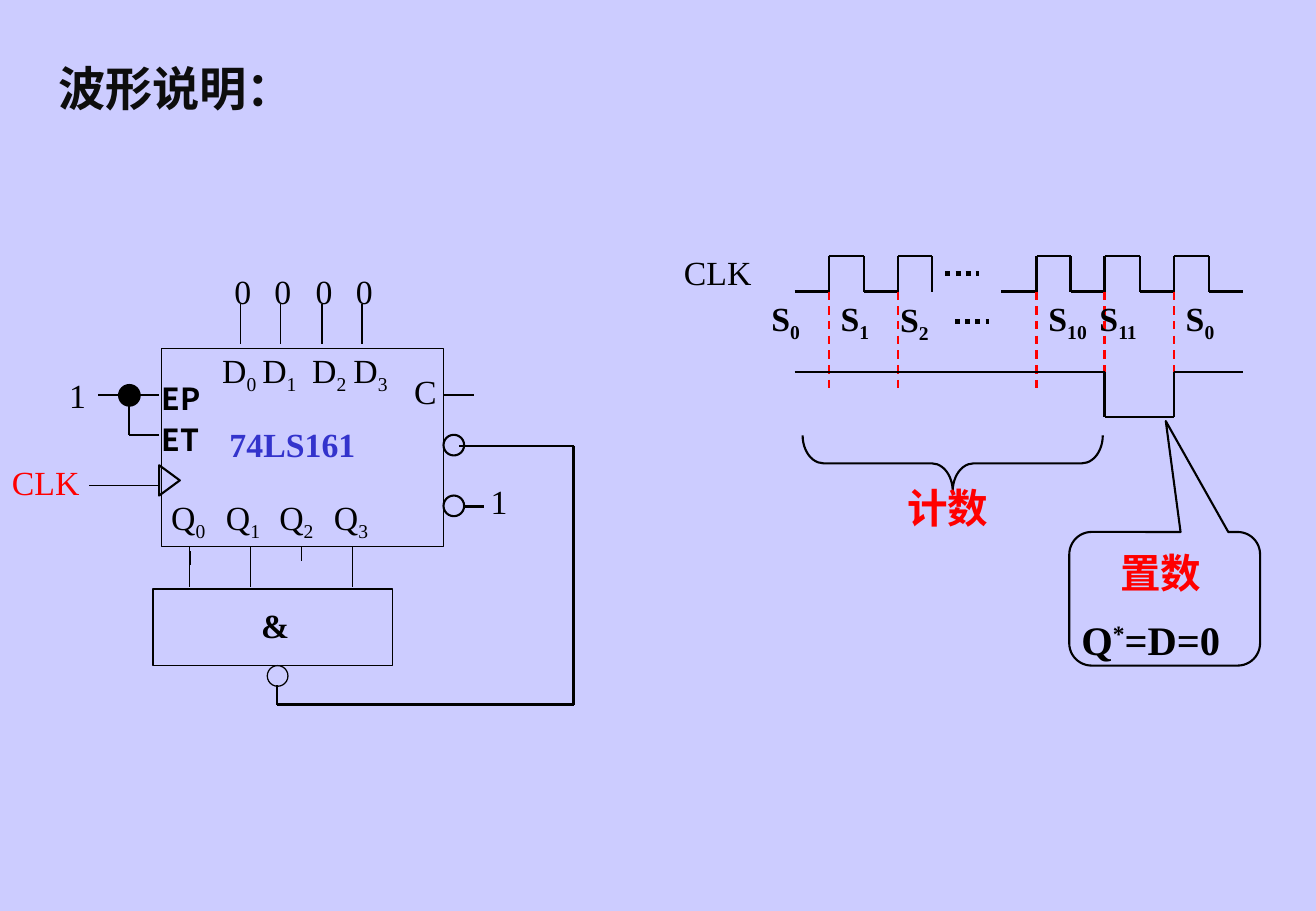
from itertools import pairwise
from lxml.etree import SubElement
from pptx import Presentation
from pptx.dml.color import RGBColor
from pptx.enum.dml import MSO_LINE
from pptx.enum.shapes import MSO_CONNECTOR, MSO_SHAPE
from pptx.oxml.ns import qn
from pptx.util import Pt

PX = 9144
COLORS = {"page": "CCCCFF", "ink": "000000", "title": "0D0D0D", "red": "FF0000", "chip": "3333CC"}
SERIF, SANS = "Times New Roman", "Noto Sans CJK SC"

deck = Presentation()
deck.slide_width = 1083 * PX
deck.slide_height = 750 * PX
page = deck.slides.add_slide(deck.slide_layouts[6])
page.background.fill.solid()
page.background.fill.fore_color.rgb = RGBColor.from_string(COLORS["page"])


def draw_wire(points, weight=1.25, color="ink", dash=None):
    for start, end in pairwise(points):
        ends = [value * PX for value in start + end]
        wire = page.shapes.add_connector(MSO_CONNECTOR.STRAIGHT, *ends)
        wire.line.color.rgb = RGBColor.from_string(COLORS[color])
        wire.line.width = Pt(weight)
        if dash:
            wire.line.dash_style = dash
        SubElement(wire._element.spPr, qn("a:effectLst"))


def add_label(left, top, width, spans, size=20, bold=False, color="ink", font=SERIF):
    height = round(size * 2.15)
    box = page.shapes.add_textbox(left * PX, top * PX, width * PX, height * PX)
    box.text_frame.word_wrap = True
    para = box.text_frame.paragraphs[0]
    for words, baseline in spans:
        span = para.add_run()
        span.text = words
        span.font.size = Pt(size)
        span.font.bold = bold
        span.font.color.rgb = RGBColor.from_string(COLORS[color])
        span.font.name = font
        properties = span.font._element
        SubElement(properties, qn("a:ea")).set("typeface", SANS)
        if baseline:
            properties.set("baseline", str(baseline * 1000))


outlines = [
    (MSO_SHAPE.RIGHT_BRACE, 761, 258, 46, 247, 90, 1.25, (0.375, 0.5)),
    (MSO_SHAPE.ROUNDED_RECTANGULAR_CALLOUT, 880, 438, 157, 110, 0, 1.25, (0.006, -1.33, 0.167)),
    (MSO_SHAPE.RECTANGLE, 126, 485, 197, 63, 0, 0.75, ()),
    (MSO_SHAPE.RECTANGLE, 133, 287, 232, 163, 0, 0.75, ()),
    (MSO_SHAPE.OVAL, 220, 548, 17, 17, 0, 0.75, ()),
    (MSO_SHAPE.ISOSCELES_TRIANGLE, 127, 387, 25, 17, 90, 1.25, (0.5,)),
    (MSO_SHAPE.OVAL, 365, 358, 17, 17, 0, 1.25, ()),
    (MSO_SHAPE.OVAL, 365, 408, 17, 17, 0, 1.25, ()),
    (MSO_SHAPE.OVAL, 98, 317, 17, 17, 0, 1.25, ()),
]
for kind, left, top, width, height, rotation, weight, adjustments in outlines:
    outline = page.shapes.add_shape(kind, left * PX, top * PX, width * PX, height * PX)
    outline.shadow.inherit = False
    outline.rotation = rotation
    outline.fill.background()
    outline.line.color.rgb = RGBColor.from_string(COLORS["ink"])
    outline.line.width = Pt(weight)
    for index, value in enumerate(adjustments):
        outline.adjustments[index] = value

junction = outline
junction.fill.solid()
junction.fill.fore_color.rgb = RGBColor.from_string(COLORS["ink"])

LOW, HIGH = 240, 211
for edges in [(654, 682, 711, 739, 767), (824, 853, 881, 909, 938, 966, 995, 1023)]:
    clock = [(edges[0], LOW)]
    for index, x in enumerate(edges[1:]):
        before, after = (HIGH, LOW) if index % 2 else (LOW, HIGH)
        clock += [(x, before), (x, after)]
    if clock[-1][1] == HIGH:
        clock.pop()
    draw_wire(clock)
for x in (682, 739, 853, 909, 966):
    draw_wire([(x, 240), (x, 324)], color="red", dash=MSO_LINE.DASH)
draw_wire([(654, 306), (909, 306), (909, 343), (966, 343), (966, 306), (1023, 306)])
for x, y in [(778, 225), (786, 265)]:
    draw_wire([(x, y), (x + 28, y)], weight=3, dash=MSO_LINE.ROUND_DOT)

for x in (198, 231, 265, 298):
    draw_wire([(x, 283), (x, 250)], weight=0.75)
for x, top, bottom in [(156, 450, 483), (206, 450, 483), (290, 450, 483), (248, 450, 462),
                       (157, 454, 465), (206, 454, 465), (290, 453, 464), (228, 564, 580)]:
    draw_wire([(x, top), (x, bottom)], weight=0.75)
draw_wire([(131, 400), (73, 400)], weight=0.75)
draw_wire([(378, 367), (472, 367), (472, 580), (228, 580)])
draw_wire([(131, 358), (106, 358), (106, 325)])
for left, right, y in [(365, 390, 325), (381, 402, 367), (381, 398, 417), (81, 131, 325)]:
    draw_wire([(left, y), (right, y)])

states = [(625, 240, "0"), (682, 240, "1"), (731, 241, "2"),
          (853, 240, "10"), (895, 240, "11"), (966, 240, "0")]
for left, top, number in states:
    add_label(left, top, 63, [("S", 0), (number, -25)], bold=True)
for number, left in enumerate((173, 206, 247, 281)):
    add_label(183 + round(number * 33.3), 218, 63, [("0", 0)])
    add_label(left, 283, 51, [("D", 0), (str(number), -25)])
    add_label(131 + round(number * 44.7), 404, 79, [("Q", 0), (str(number), -25)])
for left, top, words in [(553, 202, "CLK"), (47, 304, "1"), (394, 391, "1"), (331, 300, "C")]:
    add_label(left, top, 80, [(words, 0)])
for top, words in [(308, "EP"), (342, "ET")]:
    add_label(123, top, 63, [(words, 0)], size=18, bold=True, font=SANS)

add_label(0, 375, 102, [("CLK", 0)], color="red")
add_label(205, 493, 44, [("&", 0)], bold=True)
add_label(179, 344, 135, [("74LS161", 0)], bold=True, color="chip")
add_label(737, 393, 100, [("计数", 0)], size=24, bold=True, color="red")
add_label(912, 446, 100, [("置数", 0)], size=24, bold=True, color="red")
add_label(880, 501, 181, [("Q", 0), ("*", 30), ("=D=0", 0)], size=24, bold=True)
add_label(38, 44, 240, [("波形说明：", 0)], size=28, bold=True, color="title")

deck.save("out.pptx")
